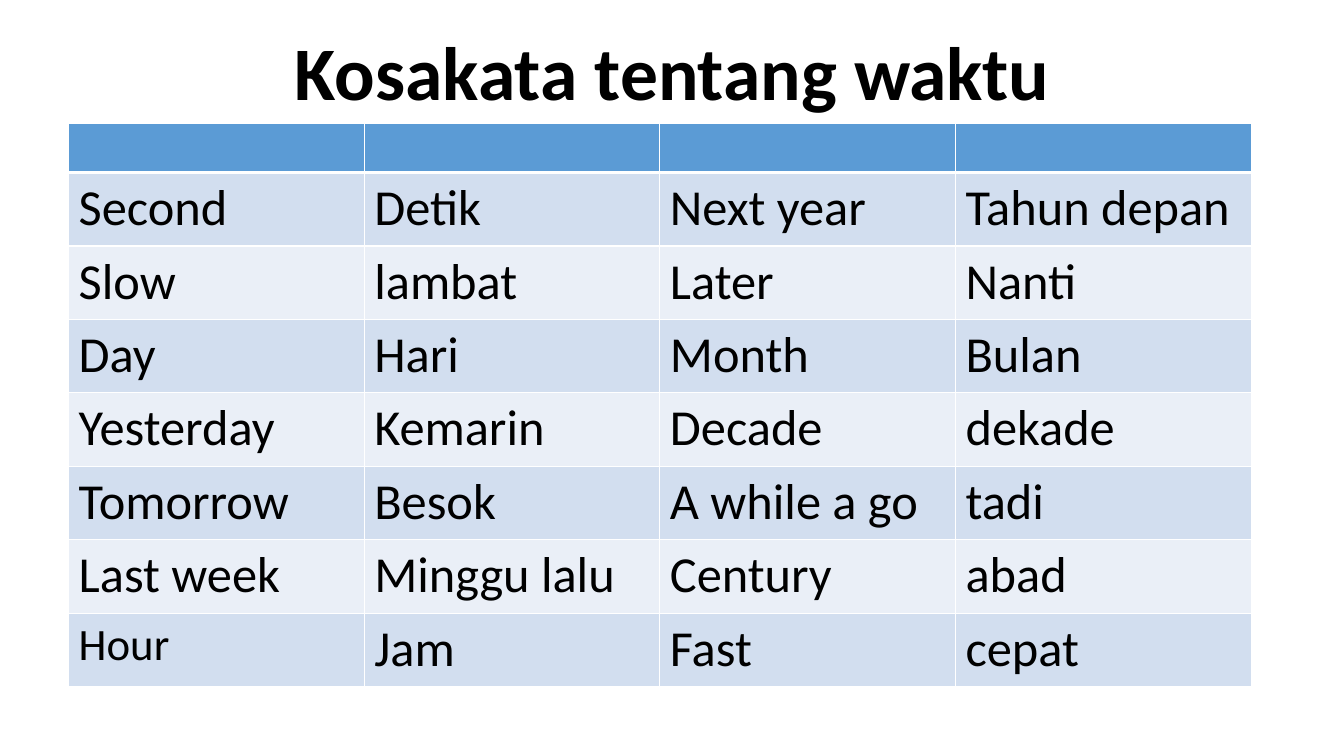
"""Build a vocabulary slide about time with a four-column word table."""
from lxml import etree
from pptx import Presentation
from pptx.dml.color import RGBColor
from pptx.enum.text import MSO_ANCHOR, PP_ALIGN
from pptx.oxml.ns import qn
from pptx.util import Cm, Pt

CENTER = PP_ALIGN.CENTER
MIDDLE = MSO_ANCHOR.MIDDLE
WORDS = [
    ("", "", "", ""),
    ("Second", "Detik", "Next year", "Tahun depan"),
    ("Slow", "lambat", "Later", "Nanti"),
    ("Day", "Hari", "Month", "Bulan"),
    ("Yesterday", "Kemarin", "Decade", "dekade"),
    ("Tomorrow", "Besok", "A while a go", "tadi"),
    ("Last week", "Minggu lalu", "Century", "abad"),
    ("Hour", "Jam", "Fast", "cepat"),
]
HEADER, BANDS = "5B9BD5", ("EAEFF7", "D2DEEF")


def color(value):
    return RGBColor.from_string(value)


def style_font(font, size, bold=False):
    font.name = "Calibri"
    font.size = Pt(size)
    font.bold = bold
    font.color.rgb = color("000000")


prs = Presentation()
prs.slide_width, prs.slide_height = Cm(33.87), Cm(19.05)
s = prs.slides.add_slide(prs.slide_layouts[6])

title = s.shapes.add_textbox(Cm(2.34), Cm(0.74), Cm(29.21), Cm(2.36))
tf = title.text_frame
tf.word_wrap = True
tf.vertical_anchor = MIDDLE
p = tf.paragraphs[0]
p.text = "Kosakata tentang waktu"
p.alignment = CENTER
p.line_spacing = 0.9
style_font(p.font, 54, True)

frame = s.shapes.add_table(len(WORDS), 4, Cm(1.73), Cm(3.11), Cm(29.82), Cm(14.23))
table = frame.table
for column in table.columns:
    column.width = Cm(7.45)

for i, words in enumerate(WORDS):
    table.rows[i].height = Cm(1.85 if i else 1.24)
    for j, word in enumerate(words):
        cell = table.cell(i, j)
        tcPr = cell._tc.get_or_add_tcPr()
        for side in "LRTB":
            thick = (i, side) in ((0, "B"), (1, "T"))
            ln = etree.SubElement(tcPr, qn(f"a:ln{side}"), w=str(Pt(3 if thick else 1)))
            fill = etree.SubElement(ln, qn("a:solidFill"))
            etree.SubElement(fill, qn("a:srgbClr"), val="FFFFFF")
        cell.fill.solid()
        cell.fill.fore_color.rgb = color(BANDS[i % 2] if i else HEADER)
        if word:
            p = cell.text_frame.paragraphs[0]
            p.text = word
            style_font(p.font, 32 if word == "Hour" else 36)

prs.save("out.pptx")
